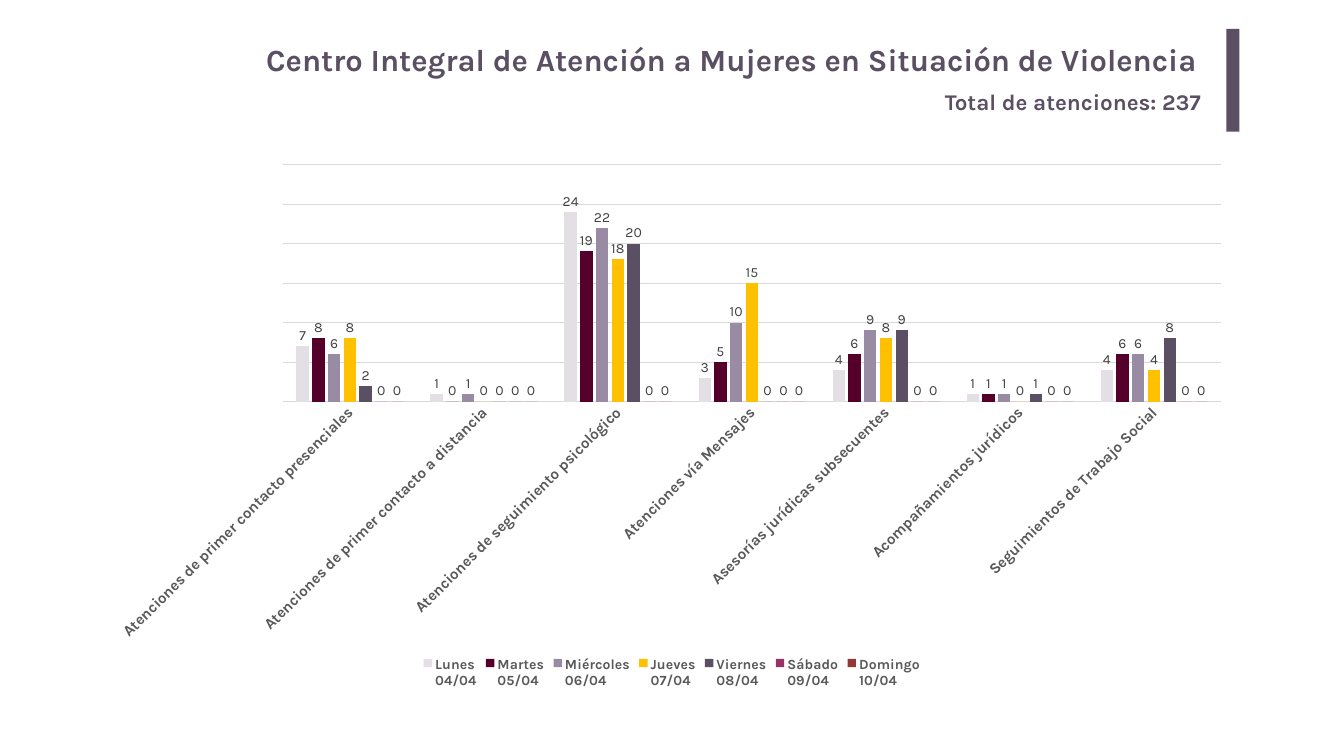
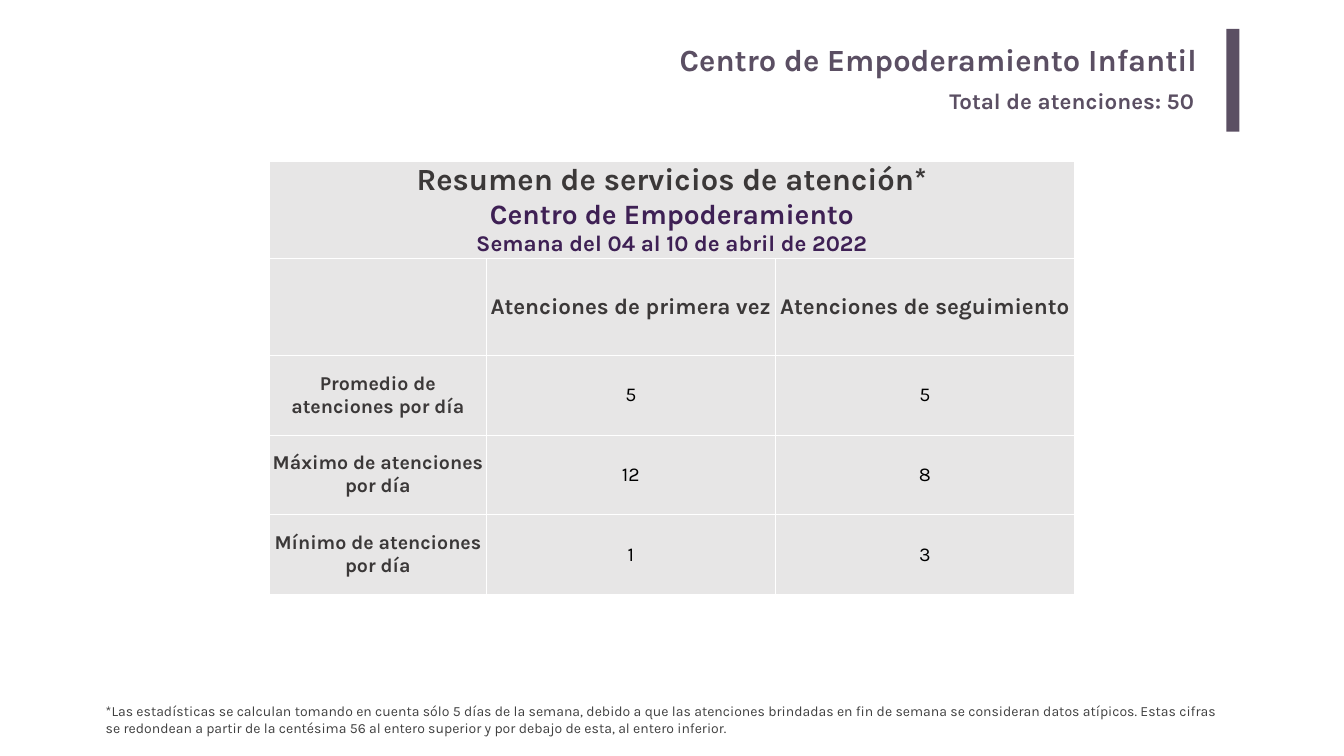
from dataclasses import dataclass

from lxml.etree import SubElement
from pptx import Presentation
from pptx.chart.data import CategoryChartData
from pptx.dml.color import RGBColor
from pptx.enum.chart import XL_CHART_TYPE as ChartType
from pptx.enum.chart import XL_LABEL_POSITION as LabelPosition
from pptx.enum.chart import XL_LEGEND_POSITION as LegendPosition
from pptx.enum.chart import XL_TICK_MARK as TickMark
from pptx.enum.shapes import MSO_SHAPE as Shape
from pptx.enum.text import MSO_ANCHOR as Anchor
from pptx.enum.text import PP_ALIGN as Align
from pptx.oxml import parse_xml
from pptx.oxml.ns import nsdecls, qn
from pptx.util import Cm, Pt

FONT = "Karla"
COLORS = {
    "purple": "5B4F63",
    "deep_purple": "3E2054",
    "heading": "3B3838",
    "note": "404040",
    "axis": "595959",
    "grid": "D9D9D9",
    "cell": "E7E6E6",
    "white": "FFFFFF",
    "black": "000000",
    "lilac": "E3DFE5",
    "wine": "54002A",
    "mauve": "998BA3",
    "yellow": "FFC000",
    "magenta": "993366",
    "brick": "953735",
}


@dataclass(frozen=True)
class Box:
    """Position and size in centimetres."""
    left: float
    top: float
    width: float
    height: float

    def lengths(self) -> tuple:
        return Cm(self.left), Cm(self.top), Cm(self.width), Cm(self.height)


@dataclass(frozen=True)
class Style:
    size: float
    color: str
    bold: bool = True


@dataclass(frozen=True)
class Day:
    name: str
    date: str
    color: str
    counts: tuple[int, ...]


TITLE = Style(44, "purple")
SUBTITLE = Style(32, "purple")
NOTE = Style(20, "note", bold=False)
COLUMN_HEAD = Style(32, "heading")
ROW_HEAD = Style(28, "heading")
VALUE = Style(28, "black", bold=False)
CATEGORY = Style(22, "axis")
LEGEND = Style(20, "axis")

TITLE_BOX = Box(9.3, 1.7, 51.56, 2.59)
ACCENT_BOX = Box(61.8, 1.45, 0.66, 5.18)
CHART_BOX = Box(5.03, 7.75, 57.66, 27.15)
NOTE_BOX = Box(5.08, 35.3, 56.72, 1.96)
PLOT_LAYOUT = {"x": 0.16, "y": 0.02, "w": 0.82, "h": 0.44}

SERVICES = [
    "Atenciones de primer contacto presenciales",
    "Atenciones de primer contacto a distancia",
    "Atenciones de seguimiento psicológico",
    "Atenciones vía Mensajes",
    "Asesorías jurídicas subsecuentes",
    "Acompañamientos jurídicos",
    "Seguimientos de Trabajo Social",
]
WEEK = [
    Day("Lunes", "04/04", "lilac", (7, 1, 24, 3, 4, 1, 4)),
    Day("Martes", "05/04", "wine", (8, 0, 19, 5, 6, 1, 6)),
    Day("Miércoles", "06/04", "mauve", (6, 1, 22, 10, 9, 1, 6)),
    Day("Jueves", "07/04", "yellow", (8, 0, 18, 15, 8, 0, 4)),
    Day("Viernes", "08/04", "purple", (2, 0, 20, 0, 9, 1, 8)),
    Day("Sábado", "09/04", "magenta", (0,) * 7),
    Day("Domingo", "10/04", "brick", (0,) * 7),
]

SUMMARY_HEAD = [
    ("Resumen de servicios de atención*", Style(44, "heading")),
    ("Centro de Empoderamiento", Style(40, "deep_purple")),
    ("Semana del 04 al 10 de abril de 2022", Style(32, "deep_purple")),
]
SUMMARY_ROWS = [
    ("", "Atenciones de primera vez", "Atenciones de seguimiento"),
    ("Promedio de atenciones por día", "5", "5"),
    ("Máximo de atenciones por día", "12", "8"),
    ("Mínimo de atenciones por día", "1", "3"),
]
SUMMARY_WIDTHS = (10.9, 14.6, 15.04)
SUMMARY_HEIGHTS = (4.88, 4.88, 4.01, 4.01, 4.01)
FOOTNOTE = (
    "*Las estadísticas se calculan tomando en cuenta sólo 5 días de la semana, "
    "debido a que las atenciones brindadas en fin de semana se consideran datos "
    "atípicos. Estas cifras se redondean a partir de la centésima 56 al entero "
    "superior y por debajo de esta, al entero inferior."
)


def rgb(color: str) -> RGBColor:
    return RGBColor.from_string(COLORS[color])


def style_font(font, style: Style) -> None:
    font.name = FONT
    font.size = Pt(style.size)
    font.bold = style.bold
    font.color.rgb = rgb(style.color)


def write_line(paragraph, text: str, style: Style, align: Align) -> None:
    paragraph.text = text
    paragraph.alignment = align
    for run in paragraph.runs:
        style_font(run.font, style)


def add_text(slide, box: Box, text: str, style: Style, align: Align = Align.LEFT):
    frame = slide.shapes.add_textbox(*box.lengths()).text_frame
    frame.word_wrap = True
    write_line(frame.paragraphs[0], text, style, align)
    return frame


def add_header(slide, title: str, total: str, total_box: Box) -> None:
    frame = add_text(slide, TITLE_BOX, title, TITLE, Align.RIGHT)
    frame.margin_left = frame.margin_right = Cm(0.51)
    frame.margin_top = frame.margin_bottom = Cm(0.25)
    frame.vertical_anchor = Anchor.MIDDLE

    accent = slide.shapes.add_shape(Shape.RECTANGLE, *ACCENT_BOX.lengths())
    accent.shadow.inherit = False
    accent.fill.solid()
    accent.fill.fore_color.rgb = rgb("purple")
    accent.line.fill.background()

    add_text(slide, total_box, total, SUBTITLE)


def place_plot(chart) -> None:
    """Fix the inner plot area as fractions of the chart."""
    plot_area = chart.element.find(".//" + qn("c:plotArea"))
    layout = plot_area.find(qn("c:layout"))
    if layout is None:
        layout = parse_xml(f"<c:layout {nsdecls('c')}/>")
        plot_area.insert(0, layout)
    manual = SubElement(layout, qn("c:manualLayout"))
    settings = {"layoutTarget": "inner", "xMode": "edge", "yMode": "edge", **PLOT_LAYOUT}
    for tag, value in settings.items():
        SubElement(manual, qn(f"c:{tag}")).set("val", str(value))


def add_week_chart(slide) -> None:
    data = CategoryChartData()
    data.categories = SERVICES
    for day in WEEK:
        data.add_series(f"{day.name}\n{day.date}", day.counts)
    chart = slide.shapes.add_chart(
        ChartType.COLUMN_CLUSTERED, *CHART_BOX.lengths(), data
    ).chart
    chart.has_title = False
    style_font(chart.font, Style(10, "black", bold=False))

    chart.has_legend = True
    chart.legend.position = LegendPosition.BOTTOM
    chart.legend.include_in_layout = False
    style_font(chart.legend.font, LEGEND)

    services = chart.category_axis
    services.major_tick_mark = services.minor_tick_mark = TickMark.NONE
    style_font(services.tick_labels.font, CATEGORY)
    services.format.line.color.rgb = rgb("grid")
    services.format.line.width = Pt(0.75)
    label_body = services._element.find(qn("c:txPr")).find(qn("a:bodyPr"))
    label_body.set("rot", "-2700000")

    counts = chart.value_axis
    counts.visible = False
    counts.minimum_scale, counts.maximum_scale, counts.major_unit = 0, 30, 5
    counts.has_major_gridlines = True
    counts.major_gridlines.format.line.color.rgb = rgb("grid")
    counts.major_gridlines.format.line.width = Pt(0.75)

    plot = chart.plots[0]
    plot.gap_width, plot.overlap, plot.vary_by_categories = 219, -27, False
    for day, series in zip(WEEK, plot.series):
        series.format.fill.solid()
        series.format.fill.fore_color.rgb = rgb(day.color)
        labels = series.data_labels
        labels.show_value = True
        labels.position = LabelPosition.OUTSIDE_END
        style_font(labels.font, NOTE)
    place_plot(chart)


def format_cell(cell) -> None:
    """Apply the white borders, grey fill and centred zero-margin layout."""
    properties = cell._tc.get_or_add_tcPr()
    for side in "LRTB":
        properties.append(parse_xml(
            f'<a:ln{side} {nsdecls("a")} w="12700"><a:solidFill>'
            f'<a:srgbClr val="{COLORS["white"]}"/></a:solidFill></a:ln{side}>'
        ))
    cell.fill.solid()
    cell.fill.fore_color.rgb = rgb("cell")
    cell.vertical_anchor = Anchor.MIDDLE
    cell.margin_left = cell.margin_right = cell.margin_top = cell.margin_bottom = 0


def add_summary_table(slide) -> None:
    box = Box(13.59, 8.13, sum(SUMMARY_WIDTHS), sum(SUMMARY_HEIGHTS))
    table = slide.shapes.add_table(
        len(SUMMARY_HEIGHTS), len(SUMMARY_WIDTHS), *box.lengths()
    ).table
    table.first_row = table.horz_banding = False
    for column, width in zip(table.columns, SUMMARY_WIDTHS):
        column.width = Cm(width)
    for row, height in zip(table.rows, SUMMARY_HEIGHTS):
        row.height = Cm(height)
    for cell in table.iter_cells():
        format_cell(cell)

    heading = table.cell(0, 0)
    heading.merge(table.cell(0, len(SUMMARY_WIDTHS) - 1))
    heading.text_frame.text = "\n".join(text for text, _ in SUMMARY_HEAD)
    for paragraph, (text, style) in zip(heading.text_frame.paragraphs, SUMMARY_HEAD):
        write_line(paragraph, text, style, Align.CENTER)

    for r, texts in enumerate(SUMMARY_ROWS, start=1):
        for c, text in enumerate(texts):
            style = COLUMN_HEAD if r == 1 else ROW_HEAD if c == 0 else VALUE
            line = table.cell(r, c).text_frame.paragraphs[0]
            write_line(line, text, style, Align.CENTER)


def main() -> None:
    deck = Presentation()
    deck.slide_width, deck.slide_height = Cm(67.73), Cm(38.1)
    blank = deck.slide_layouts[6]

    women = deck.slides.add_slide(blank)
    add_header(
        women,
        "Centro Integral de Atención a Mujeres en Situación de Violencia",
        "Total de atenciones: 237",
        Box(47.37, 4.34, 13.49, 1.65),
    )
    add_week_chart(women)

    children = deck.slides.add_slide(blank)
    add_summary_table(children)
    add_header(
        children,
        "Centro de Empoderamiento Infantil",
        "Total de atenciones: 50",
        Box(47.6, 4.29, 13.41, 1.63),
    )
    add_text(children, NOTE_BOX, FOOTNOTE, NOTE)

    deck.save("out.pptx")


if __name__ == "__main__":
    main()
